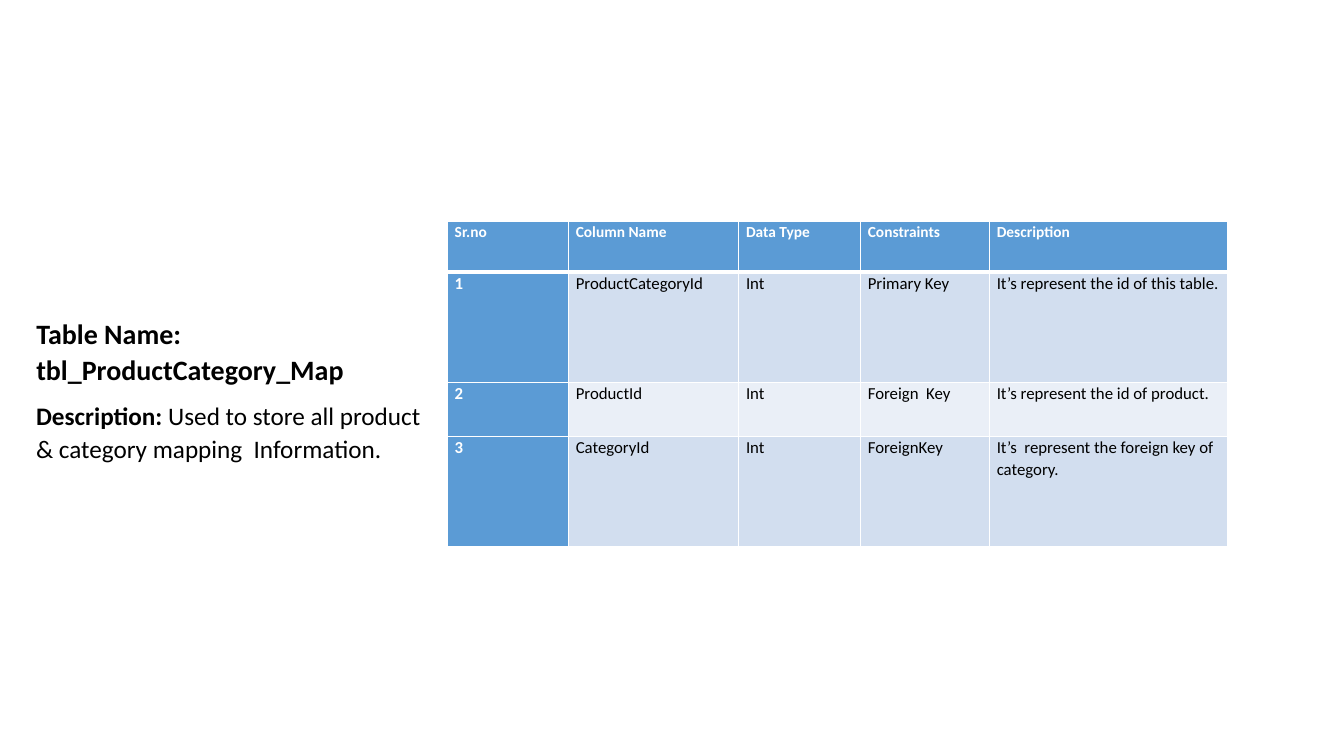
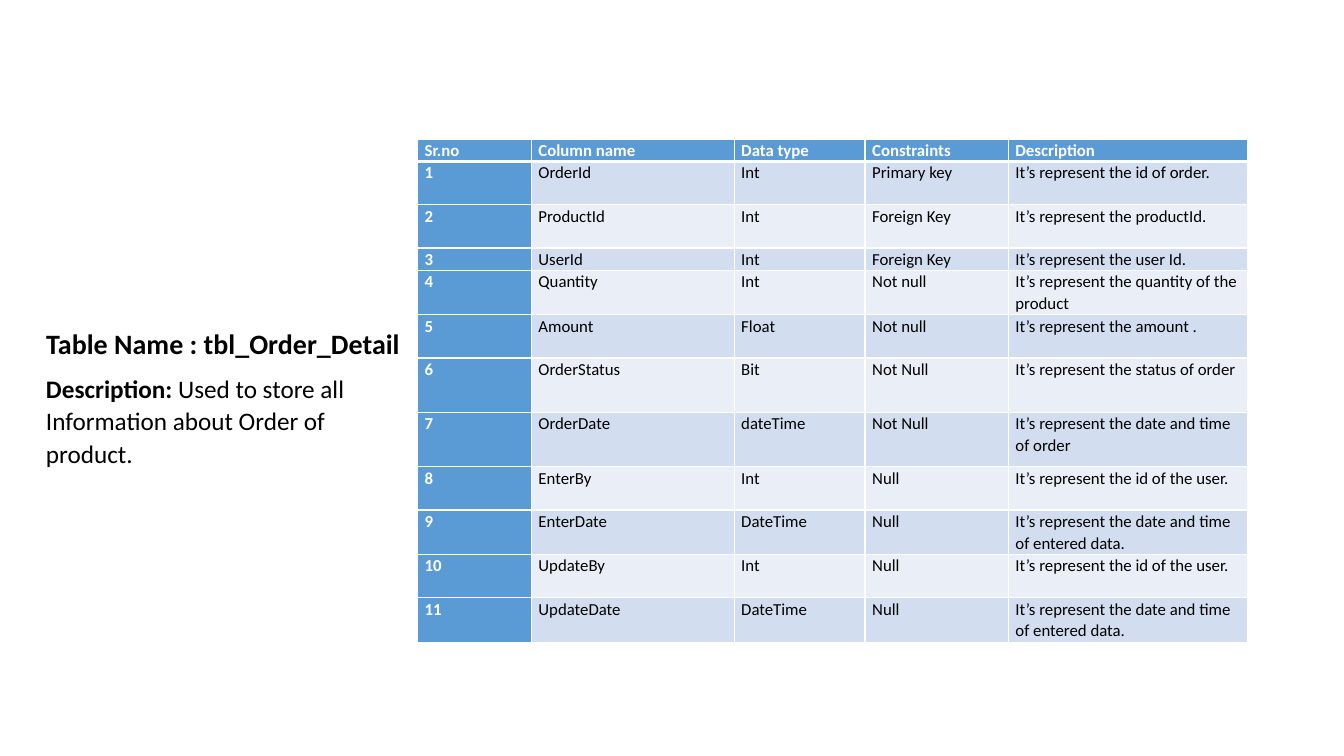
from lxml import etree
from pptx import Presentation
from pptx import util as u
from pptx.dml.color import RGBColor
from pptx.enum import text
from pptx.oxml.ns import qn

FONT = "Calibri"
BLACK, WHITE = "000000", "FFFFFF"
ACCENT, BANDS = "5B9BD5", ("D2DEEF", "EAEFF7")
SPACING = 1.07
TITLE_LINE, TITLE_GAP = 0.92, 0.28
TITLE_ONLY = 5


def rgb(value):
    """Return the colour for a hex string."""
    return RGBColor.from_string(value)


def add_run(paragraph, words, size, color=BLACK, bold=False):
    """Add one formatted run to a paragraph."""
    paragraph.line_spacing = SPACING
    run = paragraph.add_run()
    run.text = words
    run.font.name = FONT
    run.font.size = u.Pt(size)
    run.font.bold = bold
    run.font.color.rgb = rgb(color)


def set_frame(frame):
    """Make a text frame wrap, start at its top and keep its size."""
    frame.word_wrap = True
    frame.auto_size = text.MSO_AUTO_SIZE.NONE
    frame.vertical_anchor = text.MSO_ANCHOR.TOP
    frame.paragraphs[0].alignment = text.PP_ALIGN.LEFT
    return frame.paragraphs[0]


def add_summary(slide, left, top, width, name, name_lines, purpose):
    """Fill the title with the table name and put its purpose below."""
    title = slide.shapes.title
    name_height = name_lines * TITLE_LINE + TITLE_GAP
    title.left, title.top = u.Cm(left), u.Cm(top)
    title.width, title.height = u.Cm(width), u.Cm(name_height)
    add_run(set_frame(title.text_frame), name, 20, bold=True)

    summary = slide.shapes.add_textbox(
        u.Cm(left), u.Cm(top + name_height), u.Cm(width), u.Cm(2.8))
    paragraph = set_frame(summary.text_frame)
    add_run(paragraph, "Description:", 18, bold=True)
    add_run(paragraph, " " + purpose, 18)


def set_borders(cell, bottom):
    """Draw white cell borders with the given bottom width in points."""
    properties = cell._tc.get_or_add_tcPr()
    for side, width in (("L", 1), ("R", 1), ("T", 1), ("B", bottom)):
        line = etree.SubElement(properties, qn(f"a:ln{side}"), w=str(u.Pt(width)))
        fill = etree.SubElement(line, qn("a:solidFill"))
        etree.SubElement(fill, qn("a:srgbClr"), val=WHITE)


def fill_cell(cell, words, size, color, bold, fill, bottom=1):
    """Write and format one table cell."""
    cell.margin_left = cell.margin_right = u.Cm(0.18)
    cell.margin_top = cell.margin_bottom = 0
    set_borders(cell, bottom)
    cell.fill.solid()
    cell.fill.fore_color.rgb = rgb(fill)
    add_run(cell.text_frame.paragraphs[0], words, size, color, bold)


def add_columns_table(slide, left, top, widths, heights, header, header_size, fields):
    """Add a table that lists the numbered fields under a header."""
    table = slide.shapes.add_table(
        len(heights), len(widths), u.Cm(left), u.Cm(top),
        u.Cm(sum(widths)), u.Cm(sum(heights))).table
    table.first_col = True
    for column, width in zip(table.columns, widths):
        column.width = u.Cm(width)
    for row, height in zip(table.rows, heights):
        row.height = u.Cm(height)

    for c, words in enumerate(header):
        fill_cell(table.cell(0, c), words, header_size, WHITE, True, ACCENT, bottom=3)
    for r, field in enumerate(fields, 1):
        fill_cell(table.cell(r, 0), str(r), 12, WHITE, True, ACCENT)
        for c, words in enumerate(field, 1):
            fill_cell(table.cell(r, c), words, 12, BLACK, False, BANDS[(r - 1) % 2])


def add_category_map(slide):
    """Describe the product and category mapping table."""
    add_summary(slide, 0.66, 7.8, 10.21, "Table Name: tbl_ProductCategory_Map", 2,
                "Used to store all product & category mapping  Information.")
    add_columns_table(
        slide, 11.28, 5.59, (3.05, 4.29, 3.07, 3.25, 5.99), (1.27, 2.77, 1.37, 2.77),
        ("Sr.no", "Column Name", "Data Type", "Constraints", "Description"), 11,
        (("ProductCategoryId", "Int", "Primary Key", "It’s represent the id of this table."),
         ("ProductId", "Int", "Foreign  Key", "It’s represent the id of product."),
         ("CategoryId", "Int", "ForeignKey", "It’s  represent the foreign key of category.")))


def add_order_detail(slide):
    """Describe the order detail table."""
    add_summary(slide, 0.91, 8.03, 9.6, "Table Name : tbl_Order_Detail", 1,
                "Used to store all Information about Order of product.")
    add_columns_table(
        slide, 10.52, 3.51, (2.87, 5.11, 3.3, 3.61, 6.02),
        (0.56, 1.09, 1.09, 0.56, 1.12, 1.09, 1.37, 1.37, 1.09, 1.12, 1.09, 1.12),
        ("Sr.no", "Column name", "Data type", "Constraints", "Description"), 12,
        (("OrderId", "Int", "Primary key", "It’s represent the id of order."),
         ("ProductId", "Int", "Foreign Key", "It’s represent the productId."),
         ("UserId", "Int", "Foreign Key", "It’s represent the user Id."),
         ("Quantity", "Int", "Not null", "It’s represent the quantity of the product"),
         ("Amount", "Float", "Not null", "It’s represent the amount ."),
         ("OrderStatus", "Bit", "Not Null", "It’s represent the status of order"),
         ("OrderDate", "dateTime", "Not Null", "It’s represent the date and time of order"),
         ("EnterBy", "Int", "Null", "It’s represent the id of the user."),
         ("EnterDate", "DateTime", "Null", "It’s represent the date and time of entered data."),
         ("UpdateBy", "Int", "Null", "It’s represent the id of the user."),
         ("UpdateDate", "DateTime", "Null", "It’s represent the date and time of entered data.")))


def main():
    """Build both slides and save the presentation."""
    deck = Presentation()
    deck.slide_width, deck.slide_height = u.Cm(33.87), u.Cm(19.05)
    for add_content in (add_category_map, add_order_detail):
        add_content(deck.slides.add_slide(deck.slide_layouts[TITLE_ONLY]))
    deck.save("out.pptx")


if __name__ == "__main__":
    main()
